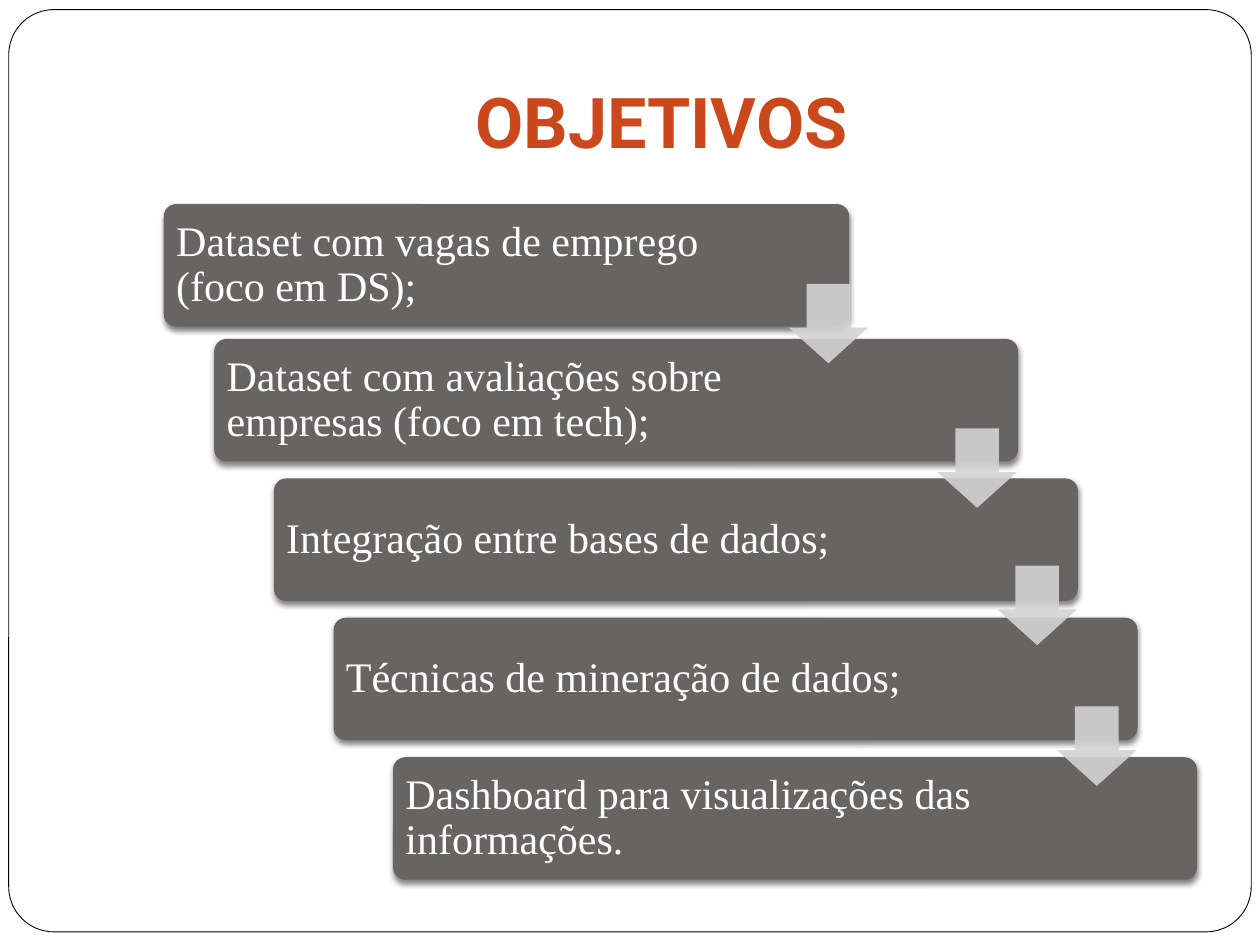
"""Build the OBJETIVOS slide: five staggered goal bars linked by down arrows."""
from lxml.etree import SubElement
from pptx import Presentation
from pptx.dml.color import RGBColor
from pptx.enum.shapes import MSO_SHAPE
from pptx.enum.text import MSO_ANCHOR, PP_ALIGN
from pptx.oxml.ns import qn
from pptx.util import Pt

COLORS = {"white": "FFFFFF", "border": "000000", "title": "CA481C",
          "bar": "696464", "arrow": "D4D3D3", "shadow": "000000"}
TITLE = "OBJETIVOS"
GOALS = [
    ("Dataset com vagas de emprego (foco em DS);", 93.6, 116.6, 391.7, 323.3),
    ("Dataset com avaliações sobre empresas (foco em tech);", 122.4, 193.7, 459.4, 379.4),
    ("Integração entre bases de dados;", 156.5, 273.4, 459.4, 379.4),
    ("Técnicas de mineração de dados;", 190.6, 353, 459.4, 379.4),
    ("Dashboard para visualizações das informações.", 224.6, 432.7, 459.4, 379.4),
]
ARROWS = [(450.7, 162.2), (535.7, 244.8), (570, 323.3), (604.1, 403.7)]
BAR_HEIGHT = 70
ARROW_SIZE = 45.4


def color(name):
    return RGBColor.from_string(COLORS[name])


def add_shape(slide, kind, box, fill, adjustments):
    shape = slide.shapes.add_shape(kind, *map(Pt, box))
    shape.shadow.inherit = False
    shape.fill.solid()
    shape.fill.fore_color.rgb = color(fill)
    shape.line.fill.background()
    for index, value in enumerate(adjustments):
        shape.adjustments[index] = value
    return shape


def add_alpha(color_element, percent):
    SubElement(color_element, qn("a:alpha"), val=str(percent * 1000))


def add_shadow(shape):
    effects = shape._element.spPr.find(qn("a:effectLst"))
    shadow = SubElement(effects, qn("a:outerShdw"), blurRad=str(Pt(3)),
                        dist=str(Pt(2)), dir="5400000", rotWithShape="0")
    add_alpha(SubElement(shadow, qn("a:srgbClr"), val=COLORS["shadow"]), 50)


def add_text(slide, text, box, font, size, fill, anchor, inset_top=7.2):
    frame = slide.shapes.add_textbox(*map(Pt, box)).text_frame
    frame.word_wrap = True
    frame.vertical_anchor = anchor
    frame.margin_left = frame.margin_right = frame.margin_bottom = Pt(7.2)
    frame.margin_top = Pt(inset_top)
    paragraph = frame.paragraphs[0]
    run = paragraph.add_run()
    run.text = text
    run.font.name = font
    run.font.size = Pt(size)
    run.font.color.rgb = color(fill)
    return paragraph


def main():
    presentation = Presentation()
    presentation.slide_width, presentation.slide_height = Pt(720), Pt(540)
    slide = presentation.slides.add_slide(presentation.slide_layouts[6])

    border = add_shape(slide, MSO_SHAPE.ROUNDED_RECTANGLE, (5, 5.5, 710, 527),
                       "white", [0.049])
    border.line.color.rgb = color("border")
    border.line.width = Pt(0.5)

    title = add_text(slide, TITLE, (72, 21.6, 612, 78.5), "Roboto", 40, "title",
                     MSO_ANCHOR.BOTTOM, 3.6)
    title.alignment = PP_ALIGN.CENTER
    title.runs[0].font.bold = True

    for text, left, top, width, text_width in GOALS:
        bar = add_shape(slide, MSO_SHAPE.ROUNDED_RECTANGLE,
                        (left, top, width, BAR_HEIGHT), "bar", [0.1])
        add_shadow(bar)
        goal = add_text(slide, text, (left, top, text_width, BAR_HEIGHT),
                        "Times New Roman", 24, "white", MSO_ANCHOR.MIDDLE)
        goal.line_spacing = 0.9

    for left, top in ARROWS:
        arrow = add_shape(slide, MSO_SHAPE.DOWN_ARROW,
                          (left, top, ARROW_SIZE, ARROW_SIZE), "arrow", [0.55, 0.45])
        fill = arrow._element.spPr.find(qn("a:solidFill"))
        add_alpha(fill.find(qn("a:srgbClr")), 90)

    presentation.save("out.pptx")


if __name__ == "__main__":
    main()
